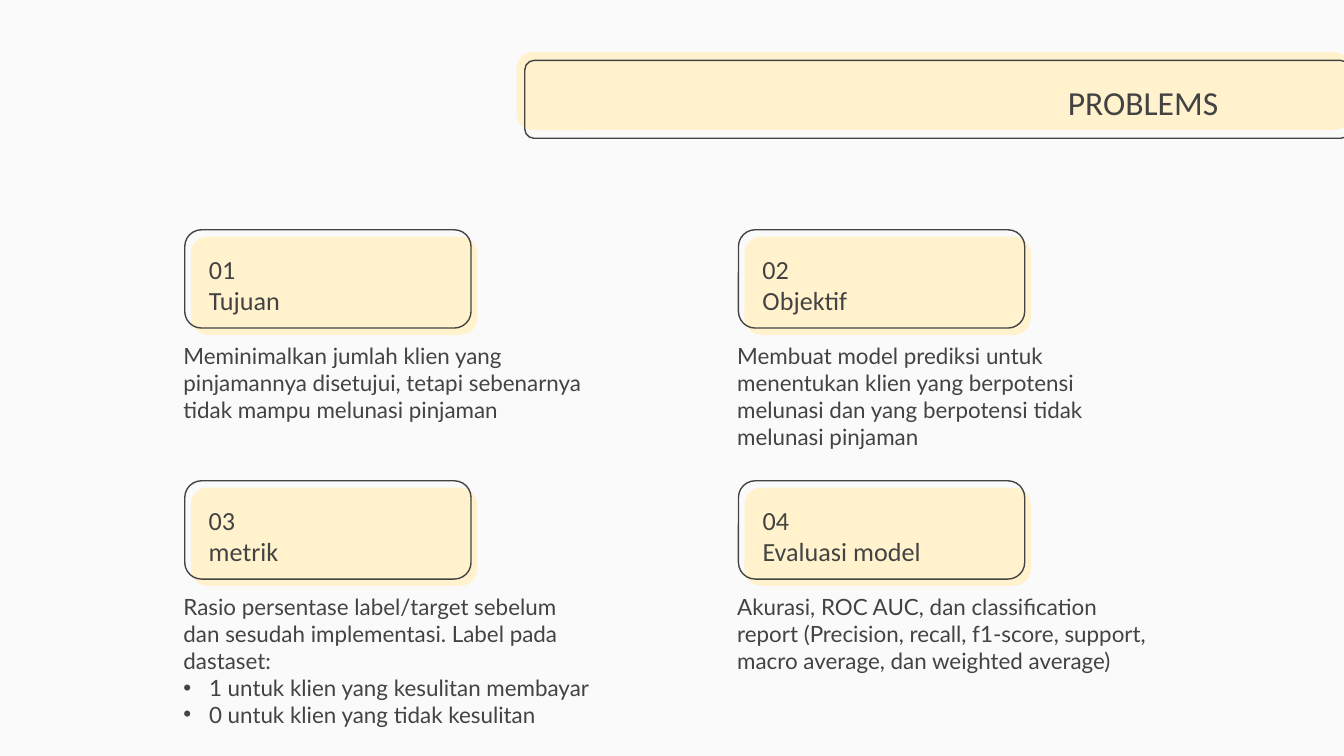
from pptx import Presentation
from pptx.dml.color import RGBColor
from pptx.enum.shapes import MSO_SHAPE
from pptx.enum.text import MSO_ANCHOR, MSO_AUTO_SIZE, PP_ALIGN
from pptx.oxml import parse_xml
from pptx.oxml.ns import nsdecls
from pptx.util import Inches, Pt

W = Inches(10)
H = W * 9 // 16
INK, CREAM, PAPER = "434343", "FFF2CC", "FAFAFA"
COLUMN, ROW = 41.2, 33.2

CARDS = [
    ("01", "Tujuan", 13.9,
     ["Meminimalkan jumlah klien yang pinjamannya disetujui, tetapi sebenarnya "
      "tidak mampu melunasi pinjaman"], []),
    ("02", "Objektif", 10,
     ["Membuat model prediksi untuk menentukan klien yang berpotensi melunasi "
      "dan yang berpotensi tidak melunasi pinjaman"], []),
    ("03", "metrik", 10,
     ["Rasio persentase label/target sebelum dan sesudah implementasi. "
      "Label pada dastaset:"],
     ["1 untuk klien yang kesulitan membayar",
      "0 untuk klien yang tidak kesulitan"]),
    ("04", "Evaluasi model", 16.8,
     ["Akurasi, ROC AUC, dan classification report (Precision, recall, f1-score, "
      "support, macro average, dan weighted average)"], []),
]


def color(value):
    """Turn a hex string into a colour."""
    return RGBColor.from_string(value)


def place(x, y, w, h):
    """Turn percentages of the slide into left, top, width and height."""
    return [int(v * side / 100) for v, side in zip((x, y, w, h), (W, H, W, H))]


def add_rounded(s, box, adj, fill=None, line=None):
    """Add a rounded rectangle that is either filled or outlined."""
    sp = s.shapes.add_shape(MSO_SHAPE.ROUNDED_RECTANGLE, *place(*box))
    sp.adjustments[0] = adj
    sp.shadow.inherit = False
    if fill:
        sp.fill.solid()
        sp.fill.fore_color.rgb = color(fill)
    else:
        sp.fill.background()
    if line:
        sp.line.color.rgb = color(line)
        sp.line.width = Pt(0.75)
    else:
        sp.line.fill.background()


def set_bullet(p, bulleted):
    """Give a paragraph a hanging bullet, or none."""
    pPr = p._p.get_or_add_pPr()
    indent = Inches(0.19) if bulleted else 0
    pPr.set("marL", str(indent))
    pPr.set("indent", str(-indent))
    tag = '<a:buChar {} char="•"/>' if bulleted else "<a:buNone {}/>"
    pPr.append(parse_xml(tag.format(nsdecls("a"))))


def write(sp, box, lines, bullets=(), font="Calibri", size=14, right=0.1,
          align=PP_ALIGN.LEFT, anchor=MSO_ANCHOR.TOP):
    """Move a text shape to a box, bring it to the front and fill it."""
    sp.left, sp.top, sp.width, sp.height = place(*box)
    sp._element.getparent().append(sp._element)
    tf = sp.text_frame
    tf.word_wrap, tf.auto_size = True, MSO_AUTO_SIZE.NONE
    tf.vertical_anchor = anchor
    tf.margin_left = tf.margin_top = tf.margin_bottom = Inches(0.1)
    tf.margin_right = Inches(right)
    for i, text in enumerate([*lines, *bullets]):
        p = tf.paragraphs[0] if i == 0 else tf.add_paragraph()
        p.alignment = align
        p.space_before = Pt(0)
        set_bullet(p, i >= len(lines))
        r = p.add_run()
        r.text = text
        r.font.name, r.font.size, r.font.bold = font, Pt(size), False
        r.font.color.rgb = color(INK)


def add_header(s, x, y, w, h):
    """Add the title on its band, which runs off the right edge."""
    add_rounded(s, (x, y, w, h), 0.2, fill=CREAM)
    add_rounded(s, (x + 0.6, y + 1.1, w - 0.6, h), 0.12, line=INK)
    write(s.shapes.title, (x + 18.3, y + 1.9, 34.9, 9.4), ["PROBLEMS"], size=18,
          align=PP_ALIGN.RIGHT, anchor=MSO_ANCHOR.MIDDLE)


def add_card(s, body, x, y, w, h, card):
    """Add a numbered label on its plate with the description below."""
    number, name, label_width, lines, bullets = card
    add_rounded(s, (x + 0.45, y + 0.9, w, h), 0.17, fill=CREAM)
    add_rounded(s, (x, y, w, h), 0.17, line=INK)
    label = s.shapes.add_textbox(0, 0, 0, 0)
    write(label, (x + 0.8, y + 2, label_width, 11.2), [number, name],
          anchor=MSO_ANCHOR.BOTTOM)
    write(body, (x - 1.1, y + h + 0.1, 33.5, 19), lines, bullets,
          font="Lato", size=12, right=0.2)


def main():
    """Build the slide and save it."""
    prs = Presentation()
    prs.slide_width, prs.slide_height = W, H
    s = prs.slides.add_slide(prs.slide_layouts.get_by_name("Comparison"))
    s.background.fill.solid()
    s.background.fill.fore_color.rgb = color(PAPER)
    bodies = [sp for sp in s.placeholders if sp.placeholder_format.idx > 0]
    add_header(s, 38.45, 6.9, 62, 10.3)
    for i, (body, card) in enumerate(zip(bodies, CARDS)):
        row, column = divmod(i, 2)
        add_card(s, body, 13.75 + column * COLUMN, 30.4 + row * ROW,
                 21.3, 13, card)
    prs.save("out.pptx")


if __name__ == "__main__":
    main()
